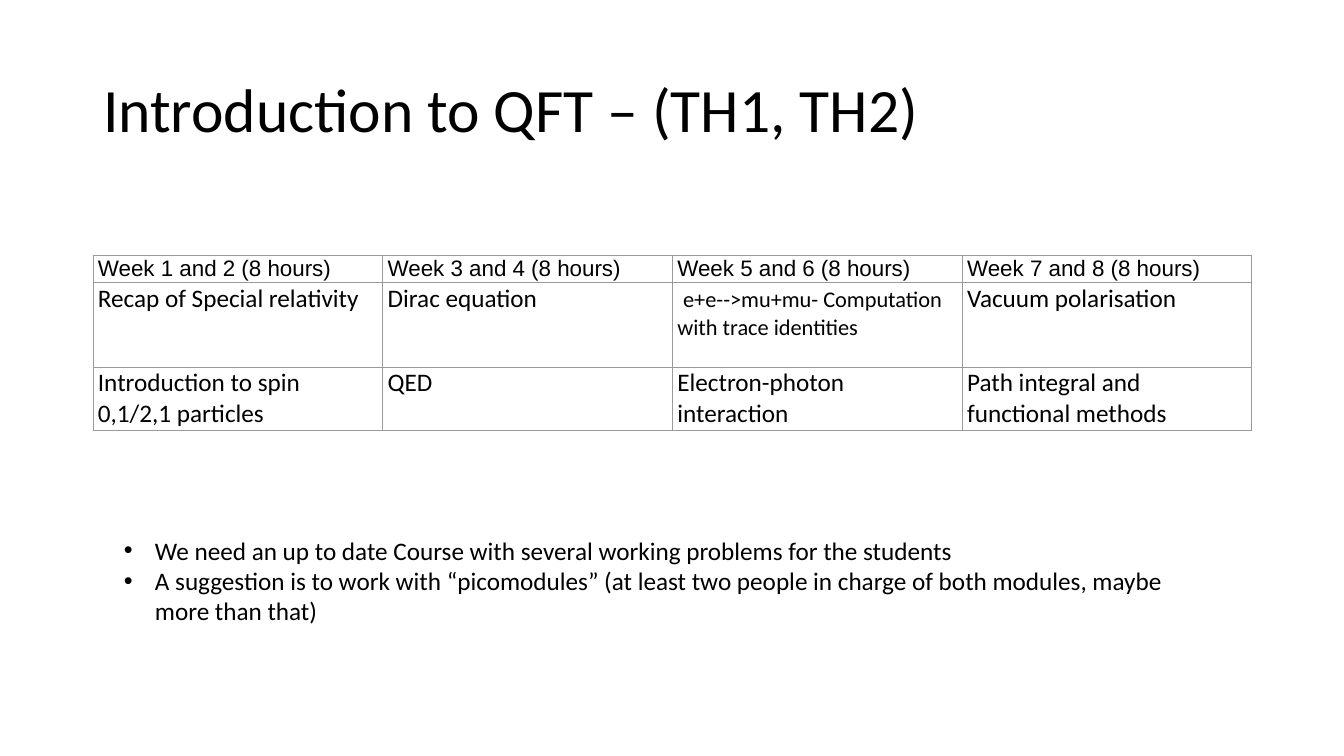
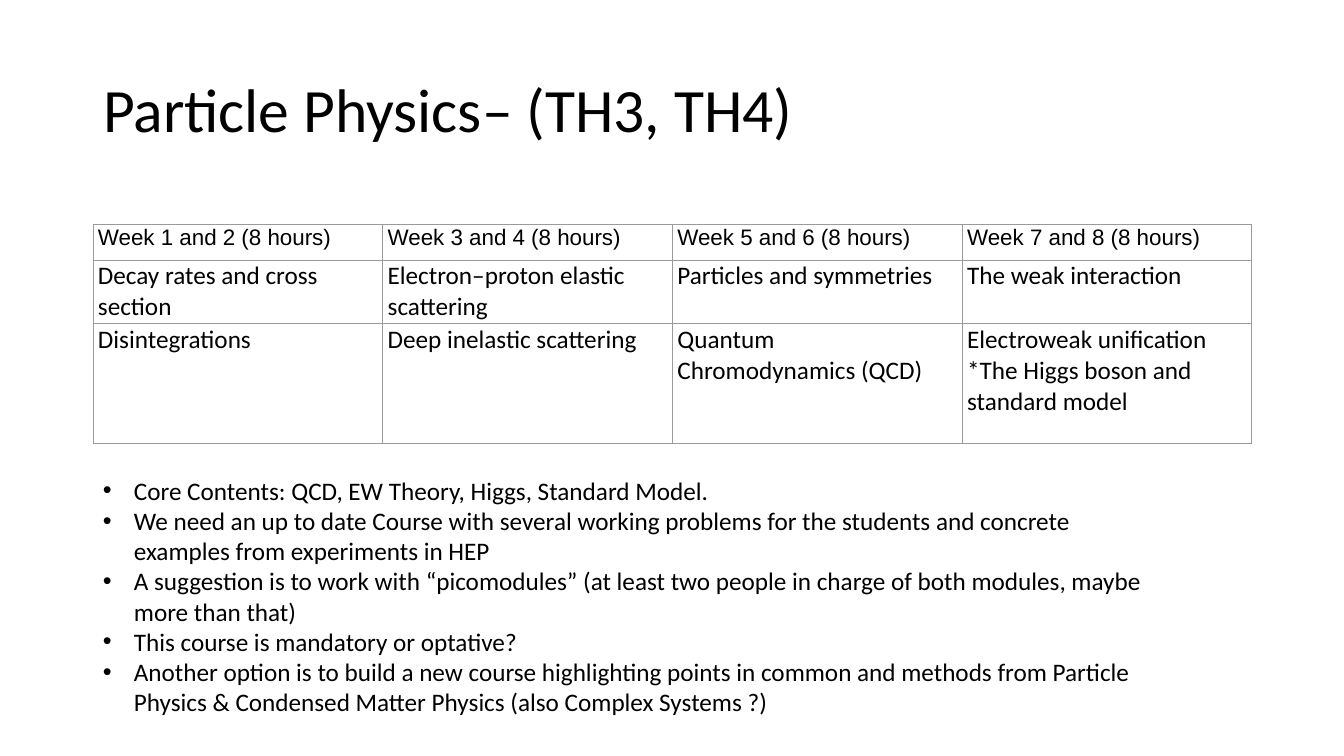
from dataclasses import dataclass

from lxml import etree
from pptx import Presentation
from pptx.dml.color import RGBColor
from pptx.enum.text import MSO_ANCHOR, MSO_AUTO_SIZE, PP_ALIGN
from pptx.oxml.ns import qn
from pptx.util import Emu, Pt

LEFT = PP_ALIGN.LEFT
TOP, MIDDLE = MSO_ANCHOR.TOP, MSO_ANCHOR.MIDDLE
NO_AUTOFIT = MSO_AUTO_SIZE.NONE
TITLE_ONLY = 5


@dataclass(frozen=True)
class Theme:
    ink: str = "000000"
    grid: str = "9A9A9A"
    background: str = "FFFFFF"
    body_font: str = "Calibri"
    week_font: str = "Arial"
    title_size: int = 44
    body_size: int = 18
    small_size: int = 16
    grid_width: float = 0.75


THEME = Theme()

WEEKS = [f"Week {first} and {first + 1} (8 hours)" for first in (1, 3, 5, 7)]
PICOMODULES = (
    "A suggestion is to work with “picomodules” "
    "(at least two people in charge of both modules, maybe more than that)"
)
COMPUTATION = [[
    (" ", THEME.body_size),
    ("e+e-->mu+mu- Computation with trace identities", THEME.small_size),
]]

COURSES = [
    {
        "title": "Introduction to QFT – (TH1, TH2)",
        "topics": [
            ["Recap of Special relativity", "Dirac equation", COMPUTATION,
             "Vacuum polarisation"],
            ["Introduction to spin 0,1/2,1 particles", "QED",
             "Electron-photon interaction", "Path integral and functional methods"],
        ],
        "plan_top": 255,
        "row_heights": [27, 85, 63],
        "remarks": [
            "We need an up to date Course with several working problems for the students",
            PICOMODULES,
        ],
        "remarks_box": (114, 530, 1074, 102),
    },
    {
        "title": "Particle Physics– (TH3, TH4)",
        "topics": [
            ["Decay rates and cross section", "Electron–proton elastic scattering",
             "Particles and symmetries", "The weak interaction"],
            ["Disintegrations", "Deep inelastic scattering",
             "Quantum Chromodynamics (QCD)",
             ["Electroweak unification", "*The Higgs boson and standard model"]],
        ],
        "plan_top": 224,
        "row_heights": [36, 63, 120],
        "remarks": [
            "Core Contents: QCD, EW Theory, Higgs, Standard Model.",
            "We need an up to date Course with several working problems for the students "
            "and concrete examples from experiments in HEP",
            PICOMODULES,
            "This course is mandatory or optative?",
            "Another option is to build a new course highlighting points in common and "
            "methods from Particle Physics & Condensed Matter Physics "
            "(also Complex Systems ?)",
        ],
        "remarks_box": (93, 470, 1074, 254),
    },
]

SLIDE_SIZE = (1344, 756)
TITLE_BOX = (93, 40, 1159, 146)
PLAN_LEFT, PLAN_WIDTH = 93, 1159
CELL_INSET_X, CELL_INSET_Y = 5, 1
BULLET_INDENT = 31


def px(length):
    return Emu(round(length * 914400 / 100.8))


def write(frame, text, *, size=THEME.body_size, font=THEME.body_font,
          color=THEME.ink, spacing=1.0, bullet=None):
    lines = [text] if isinstance(text, str) else text
    for number, line in enumerate(lines):
        paragraph = frame.add_paragraph() if number else frame.paragraphs[0]
        paragraph.alignment = LEFT
        paragraph.line_spacing = spacing
        for words, run_size in [(line, size)] if isinstance(line, str) else line:
            run = paragraph.add_run()
            run.text = words
            run.font.name = font
            run.font.size = Pt(run_size)
            run.font.bold = False
            run.font.color.rgb = RGBColor.from_string(color)
        if bullet:
            properties = paragraph._p.get_or_add_pPr()
            properties.set("marL", str(px(BULLET_INDENT)))
            properties.set("indent", str(-px(BULLET_INDENT)))
            etree.SubElement(properties, qn("a:buFont"), typeface=THEME.week_font)
            etree.SubElement(properties, qn("a:buChar"), char=bullet)


def outline(cell):
    properties = cell._tc.get_or_add_tcPr()
    for place, side in enumerate(("a:lnL", "a:lnR", "a:lnT", "a:lnB")):
        edge = etree.Element(qn(side), w=str(Pt(THEME.grid_width)))
        fill = etree.SubElement(edge, qn("a:solidFill"))
        etree.SubElement(fill, qn("a:srgbClr"), val=THEME.grid)
        properties.insert(place, edge)


def add_title(slide, text):
    title = slide.shapes.title
    title.left, title.top, title.width, title.height = map(px, TITLE_BOX)
    frame = title.text_frame
    frame.word_wrap = True
    frame.auto_size = NO_AUTOFIT
    frame.vertical_anchor = MIDDLE
    write(frame, text, size=THEME.title_size, spacing=0.9)


def add_plan(slide, topics, top, row_heights):
    rows = [WEEKS, *topics]
    plan = slide.shapes.add_table(
        len(rows), len(WEEKS), px(PLAN_LEFT), px(top),
        px(PLAN_WIDTH), px(sum(row_heights))).table
    plan.first_row = plan.horz_banding = False
    for row, height in zip(plan.rows, row_heights):
        row.height = px(height)
    for row_number, row in enumerate(rows):
        style = {} if row_number else {"font": THEME.week_font, "size": THEME.small_size}
        for column_number, topic in enumerate(row):
            cell = plan.cell(row_number, column_number)
            cell.margin_left = cell.margin_right = px(CELL_INSET_X)
            cell.margin_top = cell.margin_bottom = px(CELL_INSET_Y)
            cell.vertical_anchor = TOP
            cell.fill.background()
            outline(cell)
            write(cell.text_frame, topic, **style)


def add_remarks(slide, remarks, box):
    frame = slide.shapes.add_textbox(*map(px, box)).text_frame
    frame.word_wrap = True
    write(frame, remarks, bullet="•")


deck = Presentation()
deck.slide_width, deck.slide_height = map(px, SLIDE_SIZE)
backdrop = deck.slide_master.background.fill
backdrop.solid()
backdrop.fore_color.rgb = RGBColor.from_string(THEME.background)

for course in COURSES:
    slide = deck.slides.add_slide(deck.slide_layouts[TITLE_ONLY])
    add_title(slide, course["title"])
    add_plan(slide, course["topics"], course["plan_top"], course["row_heights"])
    add_remarks(slide, course["remarks"], course["remarks_box"])

deck.save("out.pptx")
